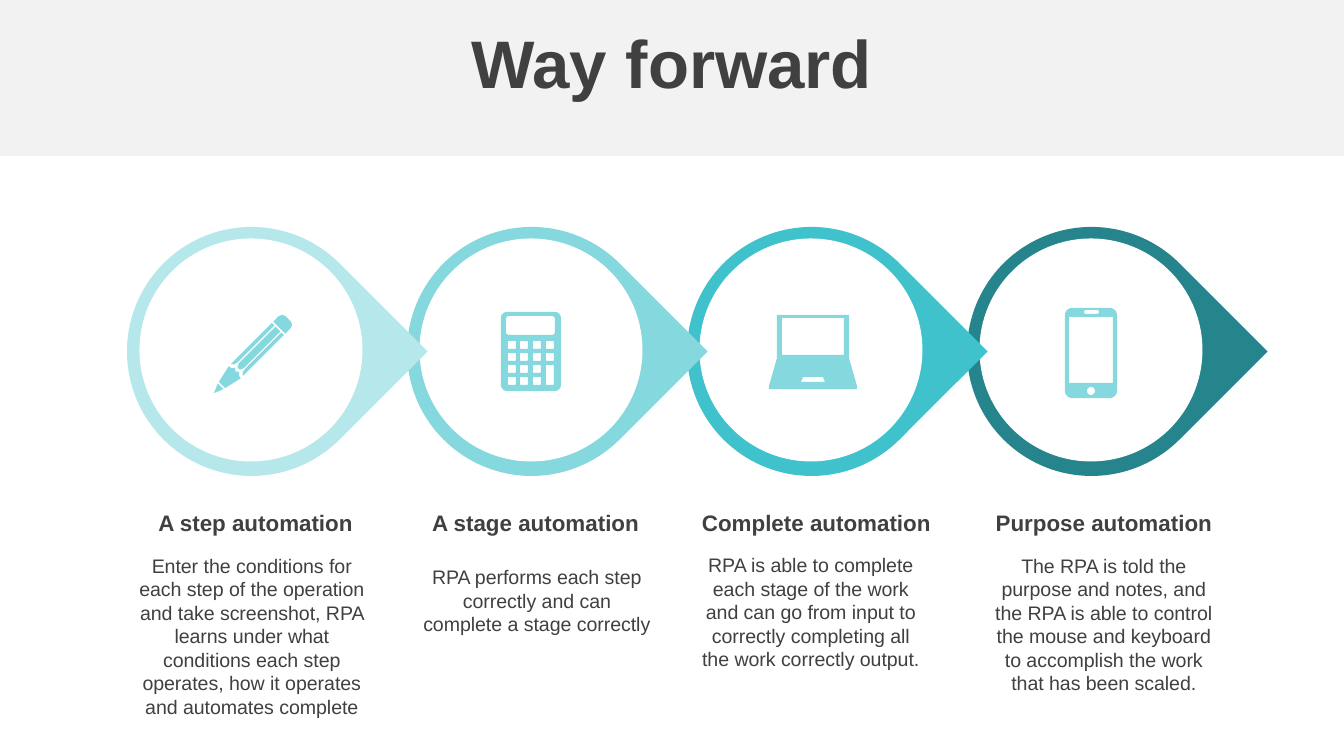
from dataclasses import dataclass
from math import cos, pi, sin

from pptx import Presentation
from pptx.dml.color import RGBColor
from pptx.enum.shapes import MSO_SHAPE
from pptx.enum.text import MSO_ANCHOR, PP_ALIGN
from pptx.util import Emu, Pt

EMU_PER_PIXEL = 914400 / 134.4
POINTS_PER_PIXEL = 10


@dataclass(frozen=True)
class Theme:
    font: str = "Arial"
    text: str = "404040"
    band: str = "F2F2F2"
    white: str = "FFFFFF"
    icon: str = "85D8DE"
    steps: tuple = ("B6E8EB", "85D8DE", "3FC2CB", "26858C")
    title_size: float = 36
    heading_size: float = 12
    body_size: float = 10.5


def pixels(value):
    return Emu(round(value * EMU_PER_PIXEL))


def rounded(left, top, width, height, radius):
    points = []
    corners = (
        (left + width - radius, top + height - radius),
        (left + radius, top + height - radius),
        (left + radius, top + radius),
        (left + width - radius, top + radius),
    )
    for quarter, (x, y) in enumerate(corners):
        for step in range(7):
            angle = (quarter + step / 6) * pi / 2
            points.append((x + radius * cos(angle), y + radius * sin(angle)))
    return points


def rectangle(left, top, width, height):
    right, bottom = left + width, top + height
    return [(left, top), (right, top), (right, bottom), (left, bottom)]


def pencil(x, y):
    stripe = [(5, -38), (8.5, -38), (8.5, 20), (6, 18), (5, 14)]
    outlines = [
        [(-4, 43), (4, 43), (0, 52.5)],
        [(-8.5, 23), (-5, 22.5), (-3, 19.5), (0, 22), (3, 19.5),
         (5, 22.5), (8.5, 23), (4.5, 41), (-4.5, 41)],
        stripe,
        [(-across, along) for across, along in stripe],
        [(-3.5, -38), (3.5, -38), (3.5, 14), (2, 17), (0, 18), (-2, 17), (-3.5, 14)],
        [(-8.5, -40), (-8.5, -48), (-7, -51), (-4, -52.5), (4, -52.5),
         (7, -51), (8.5, -48), (8.5, -40)],
    ]
    return [[(x + across, y + along) for across, along in outline] for outline in outlines]


def calculator():
    outlines = [rounded(501, 312, 60, 79, 6), rounded(506, 316, 49, 19, 3)]
    for column, left in enumerate((508, 520, 533, 546)):
        for row in range(4):
            if (column, row) == (3, 3):
                continue
            height = 20 if (column, row) == (3, 2) else 8
            outlines.append(rounded(left, 341 + row * 12, 8, height, 1))
    return outlines


def laptop():
    body = [(777, 315), (849, 315), (849, 358), (857, 386),
            (857, 389), (769, 389), (769, 386), (777, 358)]
    touchpad = [(803, 377), (823, 377), (825, 382), (801, 382)]
    return [body, rectangle(782, 318, 62, 37), touchpad]


def phone():
    return [
        rounded(1065, 308, 52, 90, 7),
        rectangle(1069, 317, 44, 66),
        rounded(1084, 310, 15, 4, 2),
        rounded(1087, 387, 8, 8, 4),
    ]


class SlideBuilder:
    """Draws themed elements on the current slide."""

    def __init__(self, slide, theme):
        self.slide = slide
        self.theme = theme

    def paint(self, shape, color):
        shape.shadow.inherit = False
        shape.fill.solid()
        shape.fill.fore_color.rgb = RGBColor.from_string(color)
        shape.line.fill.background()

    def shape(self, kind, left, top, width, height, color):
        shape = self.slide.shapes.add_shape(
            kind, pixels(left), pixels(top), pixels(width), pixels(height))
        self.paint(shape, color)
        return shape

    def ring(self, left, color):
        drop = self.shape(MSO_SHAPE.TEAR, left, 227, 249, 249, color)
        drop.rotation = 45
        disc = self.shape(MSO_SHAPE.OVAL, left + 13, 239, 222, 222, self.theme.white)
        disc.line.color.rgb = RGBColor.from_string(self.theme.white)
        disc.line.width = Pt(0.5)

    def icon(self, outlines, rotation=0):
        scaled = [[(x * POINTS_PER_PIXEL, y * POINTS_PER_PIXEL) for x, y in outline]
                  for outline in outlines]
        builder = self.slide.shapes.build_freeform(
            *scaled[0][0], scale=EMU_PER_PIXEL / POINTS_PER_PIXEL)
        builder.add_line_segments(scaled[0][1:], close=True)
        for outline in scaled[1:]:
            builder.move_to(*outline[0])
            builder.add_line_segments(outline[1:], close=True)
        shape = builder.convert_to_shape()
        self.paint(shape, self.theme.icon)
        shape.rotation = rotation

    def text(self, content, left, top, width, height, size, bold=False):
        box = self.slide.shapes.add_textbox(
            pixels(left), pixels(top), pixels(width), pixels(height))
        frame = box.text_frame
        frame.word_wrap = True
        frame.vertical_anchor = MSO_ANCHOR.MIDDLE
        frame.text = content
        paragraph = frame.paragraphs[0]
        paragraph.alignment = PP_ALIGN.CENTER
        font = paragraph.runs[0].font
        font.name = self.theme.font
        font.size = Pt(size)
        font.bold = bold
        font.color.rgb = RGBColor.from_string(self.theme.text)


def main():
    theme = Theme()
    presentation = Presentation()
    presentation.slide_width = pixels(1344)
    presentation.slide_height = pixels(756)
    slide = presentation.slides.add_slide(presentation.slide_layouts[6])
    builder = SlideBuilder(slide, theme)

    builder.shape(MSO_SHAPE.RECTANGLE, 0, 0, 1344, 156, theme.band)
    builder.text("Way forward", 0, 19, 1344, 85, theme.title_size, bold=True)

    for index, color in reversed(list(enumerate(theme.steps))):
        builder.ring(127 + index * 280, color)

    headings = (
        (" A step automation", 126, 254),
        (" A stage automation", 406, 254),
        ("Complete automation", 683, 267),
        ("Purpose automation", 977, 254),
    )
    for content, left, width in headings:
        builder.text(content, left, 503, width, 40, theme.heading_size, bold=True)

    descriptions = (
        ("Enter the conditions for each step of the operation and take screenshot, "
         "RPA learns under what conditions each step operates, how it operates "
         "and automates complete", 125, 180),
        ("RPA performs each step correctly and can complete a stage correctly", 410, 109),
        ("RPA is able to complete each stage of the work and can go from input to "
         "correctly completing all the work correctly output.", 684, 132),
        ("The RPA is told the purpose and notes, and the RPA is able to control the "
         "mouse and keyboard to accomplish the work that has been scaled.", 977, 156),
    )
    for content, left, height in descriptions:
        builder.text(content, left, 546, 254, height, theme.body_size)

    builder.icon(pencil(251, 356), rotation=45)
    for outlines in (calculator(), laptop(), phone()):
        builder.icon(outlines)

    presentation.save("out.pptx")


if __name__ == "__main__":
    main()
